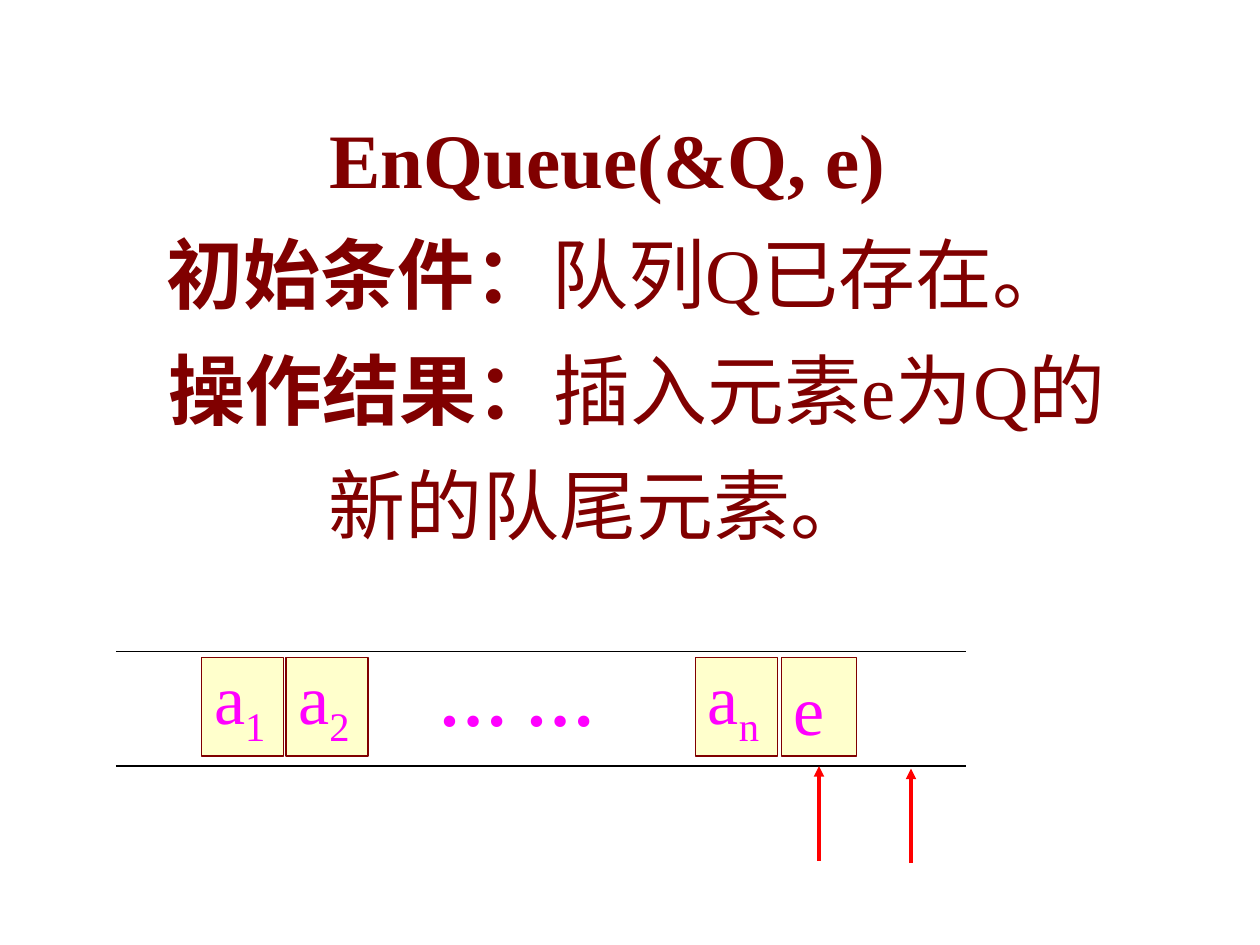
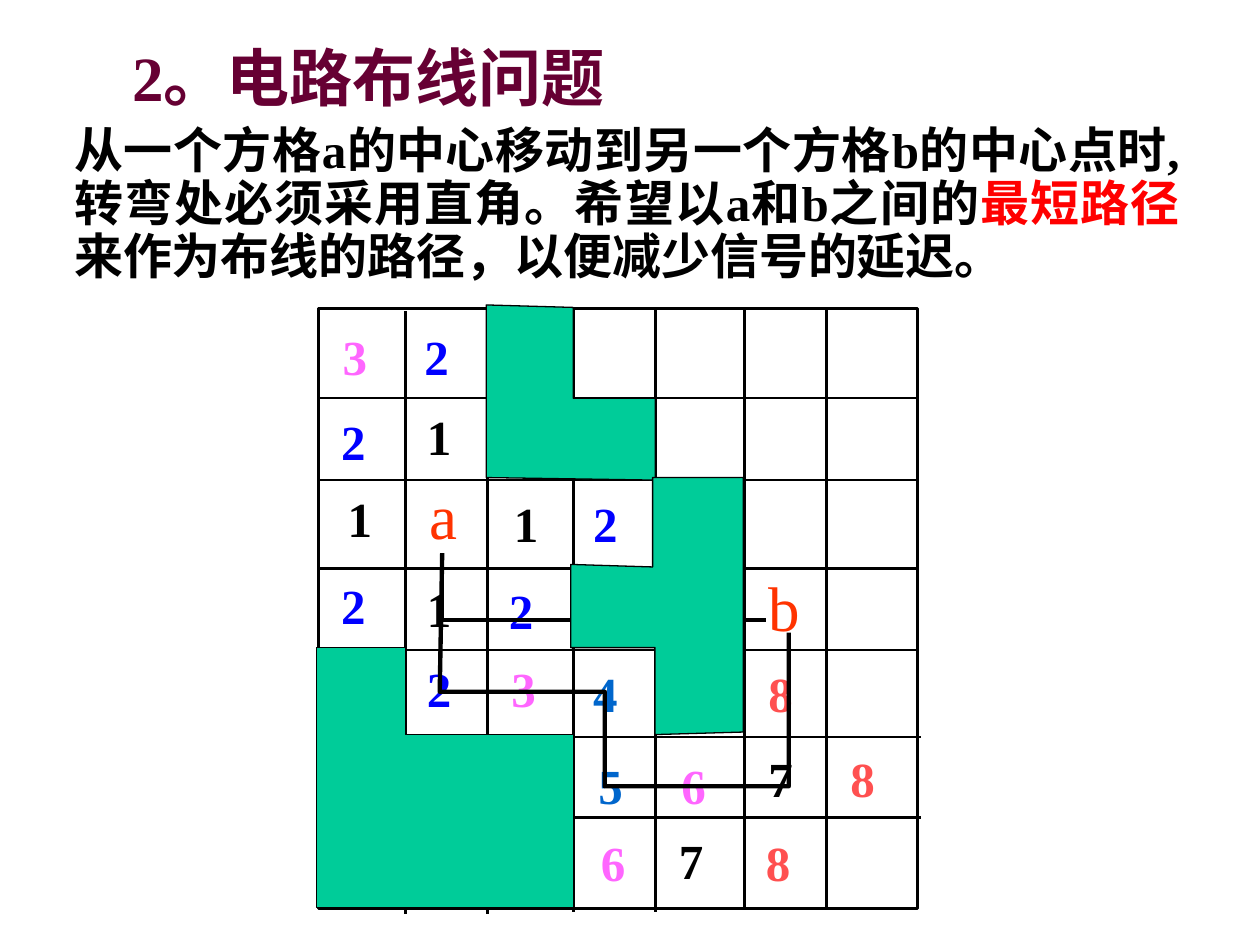
"""Build two slides on queues: the EnQueue operation and the circuit wiring grid."""
from dataclasses import dataclass

from lxml.etree import SubElement
from pptx import Presentation
from pptx.dml.color import RGBColor
from pptx.enum.shapes import MSO_CONNECTOR as Connector, MSO_SHAPE as Preset
from pptx.enum.text import MSO_ANCHOR as Anchor, PP_ALIGN as Align
from pptx.oxml.ns import qn
from pptx.util import Inches, Pt


@dataclass(frozen=True)
class Theme:
    font: str = "Times New Roman"
    black: str = "000000"
    white: str = "FFFFFF"
    maroon: str = "800000"
    plum: str = "660033"
    cream: str = "FFFFCC"
    magenta: str = "FF00FF"
    red: str = "FF0000"
    orange: str = "FF3300"
    coral: str = "FF5050"
    pink: str = "FF66FF"
    blue: str = "0000FF"
    steel: str = "0066CC"
    green: str = "00CC99"
    title: int = 44
    element: int = 40
    heading: int = 36
    body: int = 28
    thin: float = 0.75
    grid: float = 1.5
    arrow: float = 2
    short_route: float = 2.25
    long_route: float = 2.5


THEME = Theme()


def set_values(target, values):
    for name, value in values.items():
        setattr(target, name, value)


class SlideBuilder:
    def __init__(self, presentation, theme):
        self.presentation = presentation
        self.theme = theme
        self.slide = None

    def new_slide(self):
        self.slide = self.presentation.slides.add_slide(self.presentation.slide_layouts[6])

    def paint(self, shape, fill, line, width):
        shape.shadow.inherit = False
        if fill:
            shape.fill.solid()
            shape.fill.fore_color.rgb = RGBColor.from_string(fill)
        else:
            shape.fill.background()
        shape.line.color.rgb = RGBColor.from_string(line)
        shape.line.width = Pt(width)

    def fill_text(self, shape, paragraphs, size, align=Align.LEFT, spacing=1.0,
                  anchor=Anchor.TOP):
        frame = shape.text_frame
        set_values(frame, {"word_wrap": True, "vertical_anchor": anchor})
        for index, (indent, runs) in enumerate(paragraphs):
            paragraph = frame.add_paragraph() if index else frame.paragraphs[0]
            set_values(paragraph, {"alignment": align, "line_spacing": spacing})
            if indent:
                paragraph._p.get_or_add_pPr().set("indent", str(Inches(indent)))
            for text, color, bold, subscript in runs:
                run = paragraph.add_run()
                run.text = text
                set_values(run.font, {"name": self.theme.font, "size": Pt(size), "bold": bold})
                run.font.color.rgb = RGBColor.from_string(color)
                if subscript:
                    run._r.get_or_add_rPr().set("baseline", "-25000")

    def text(self, left, top, width, height, paragraphs, size, **layout):
        box = self.slide.shapes.add_textbox(*map(Inches, (left, top, width, height)))
        self.fill_text(box, paragraphs, size, **layout)

    def label(self, left, top, text, color, size, bold=True):
        self.text(left, top, 0.55, 0.57, [(0, [(text, color, bold, False)])], size)

    def rectangle(self, left, top, width, height, fill, line, line_width):
        shape = self.slide.shapes.add_shape(
            Preset.RECTANGLE, *map(Inches, (left, top, width, height)))
        self.paint(shape, fill, line, line_width)
        return shape

    def line(self, start, end, color, width, arrow=False):
        connector = self.slide.shapes.add_connector(
            Connector.STRAIGHT, *map(Inches, (*start, *end)))
        connector.line.color.rgb = RGBColor.from_string(color)
        connector.line.width = Pt(width)
        properties = connector._element.spPr
        if arrow:
            SubElement(properties.find(qn("a:ln")), qn("a:tailEnd"), type="triangle")
        SubElement(properties, qn("a:effectLst"))

    def outline(self, points, width, fill=None):
        corners = [(Inches(x), Inches(y)) for x, y in points]
        builder = self.slide.shapes.build_freeform(*corners[0])
        builder.add_line_segments(corners[1:], close=fill is not None)
        self.paint(builder.convert_to_shape(), fill, self.theme.black, width)


def enqueue_slide(builder):
    theme = builder.theme
    builder.new_slide()
    title_lines = [
        (0.15, [("EnQueue(&Q, e)", True)]),
        (0.31, [("初始条件：", True), ("队列Q已存在。", False)]),
        (0.61, [("操作结果：", True), ("插入元素e为Q的新的队尾元素。", False)]),
    ]
    builder.text(0.5, 0.65, 8.5, 3.77, [
        (indent, [(text, theme.maroon, bold, False) for text, bold in runs])
        for indent, runs in title_lines
    ], theme.title, align=Align.CENTER, spacing=1.25, anchor=Anchor.MIDDLE)

    for y in (5.17, 6.08):
        builder.line((0.92, y), (7.67, y), theme.black, theme.thin)
    queue = [(1.6, 0.65, "a", "1"), (2.27, 0.65, "a", "2"),
             (5.52, 0.65, "a", "n"), (6.2, 0.6, "e", "")]
    for left, width, name, index in queue:
        cell = builder.rectangle(left, 5.22, width, 0.78, theme.cream, theme.maroon, theme.thin)
        runs = [(name, theme.magenta, False, False)]
        if index:
            runs.append((index, theme.magenta, False, True))
        builder.fill_text(cell, [(0, runs)], theme.element, anchor=Anchor.BOTTOM)
    builder.text(3.38, 5.16, 1.45, 0.77, [(0, [("… …", theme.magenta, True, False)])],
                 theme.element)
    for x, tip in ((6.5, 6.08), (7.23, 6.1)):
        builder.line((x, tip + 0.75), (x, tip), theme.red, theme.arrow, arrow=True)


def wiring_slide(builder):
    theme = builder.theme
    builder.new_slide()
    builder.text(0.33, 0.17, 6.05, 0.79,
                 [(0.62, [("2。电路布线问题", theme.plum, True, False)])],
                 theme.heading, align=Align.JUSTIFY, spacing=1.15)
    builder.text(0.49, 0.95, 8.97, 1.36, [(0, [
        ("从一个方格a的中心移动到另一个方格b的中心点时,转弯处必须采用直角。希望以a和b之间的",
         theme.black, True, False),
        ("最短路径", theme.red, True, False),
        ("来作为布线的路径，以便减少信号的延迟。", theme.black, True, False),
    ])], theme.body, align=Align.JUSTIFY, spacing=0.9)

    builder.rectangle(2.53, 2.45, 4.75, 4.76, theme.white, theme.black, theme.grid)
    row_lines = (3.16, 3.81, 4.51, 5.16, 5.85, 6.49)
    column_lines = (3.22, 3.87, 4.55, 5.2, 5.91, 6.56)
    for index, (x, y) in enumerate(zip(column_lines, row_lines)):
        left = (2.53, 2.54, 2.56)[index // 2]
        top = (2.47, 2.46, 2.44)[index // 2]
        builder.line((left, y), (left + 4.75, y), theme.black, theme.grid)
        builder.line((x, top), (x, top + 4.78), theme.black, theme.grid)

    for left, top, name in ((3.31, 3.73, "a"), (6, 4.46, "b")):
        builder.label(left, top, name, theme.orange, theme.heading, bold=False)
    top_obstacle = [(3.86, 2.42), (3.86, 3.79), (5.2, 3.81), (5.2, 3.16),
                    (4.55, 3.16), (4.55, 2.44)]
    corner_obstacle = [(2.51, 5.14), (3.22, 5.14), (3.22, 5.83), (4.55, 5.83),
                       (4.55, 7.2), (2.51, 7.2)]
    middle_obstacle = [(4.53, 4.48), (4.53, 5.14), (5.2, 5.14), (5.2, 5.83),
                       (5.9, 5.81), (5.9, 3.79), (5.18, 3.79), (5.18, 4.5)]
    for obstacle in (top_obstacle, corner_obstacle):
        builder.outline(obstacle, theme.thin, theme.green)

    distances = [
        ("1", theme.black, [(2.66, 3.83), (3.29, 4.54), (3.98, 3.87), (3.29, 3.18)]),
        ("2", theme.blue, [(2.61, 4.52), (3.29, 5.18), (3.94, 4.56), (4.61, 3.87),
                           (2.61, 3.22), (3.27, 2.54)]),
        ("3", theme.pink, [(2.62, 2.54), (3.96, 5.18)]),
        ("4", theme.steel, [(4.61, 5.22)]),
        ("5", theme.steel, [(4.65, 5.95)]),
        ("6", theme.pink, [(5.31, 5.95), (4.67, 6.56)]),
        ("7", theme.black, [(5.29, 6.54), (6, 5.89)]),
        ("8", theme.coral, [(5.98, 6.56), (6, 5.22), (6.65, 5.89)]),
    ]
    for distance, color, places in distances:
        for left, top in places:
            builder.label(left, top, distance, color, theme.body)

    builder.outline([(3.51, 4.39), (3.51, 4.92), (6.08, 4.92)], theme.short_route)
    builder.outline(middle_obstacle, theme.thin, theme.green)
    builder.outline([(3.51, 4.39), (3.49, 5.49), (4.8, 5.49), (4.8, 6.24),
                     (6.26, 6.24), (6.26, 5.02)], theme.long_route)


def main():
    presentation = Presentation()
    set_values(presentation, {"slide_width": Inches(10), "slide_height": Inches(7.5)})
    builder = SlideBuilder(presentation, THEME)
    enqueue_slide(builder)
    wiring_slide(builder)
    presentation.save("out.pptx")


if __name__ == "__main__":
    main()
